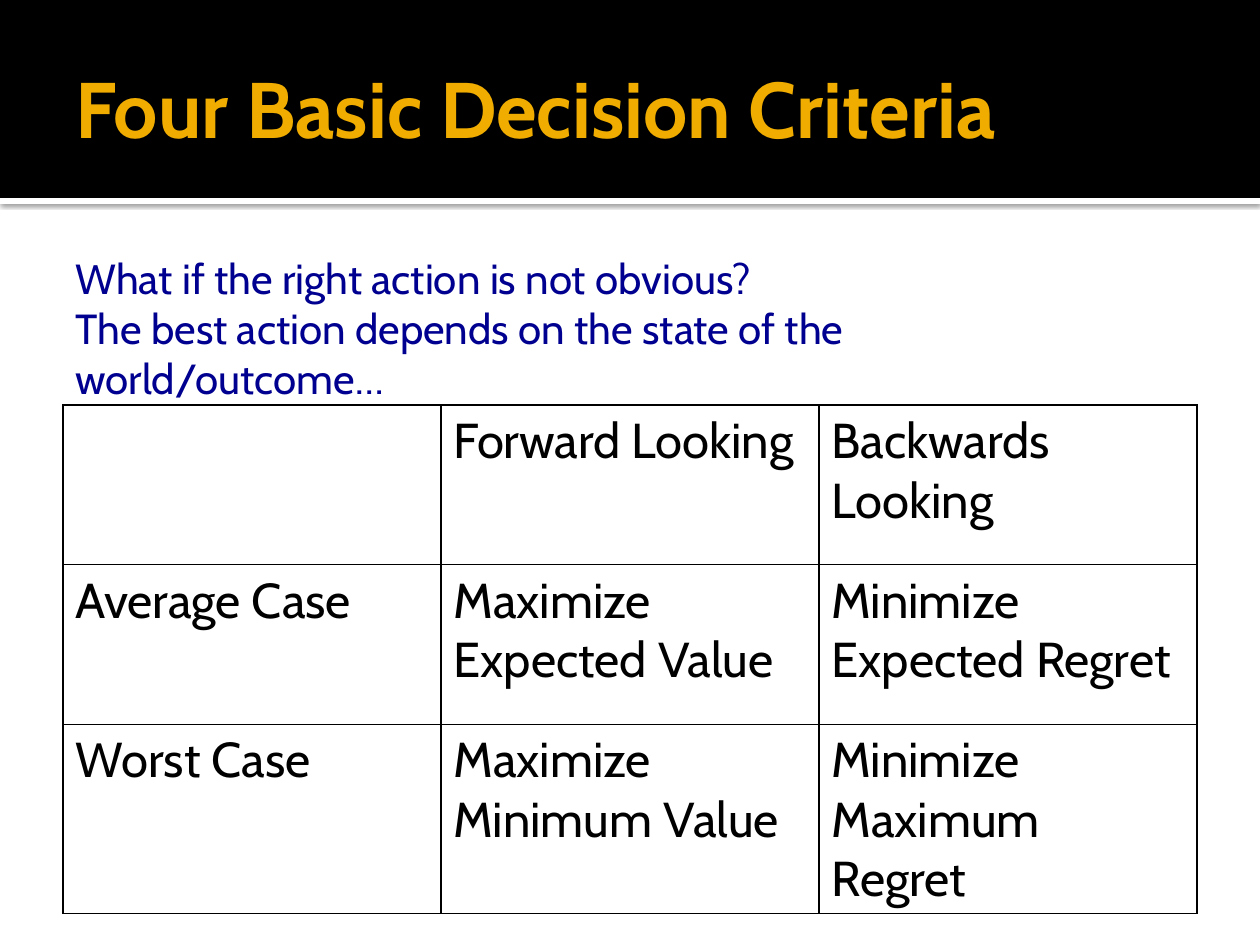
from lxml import etree
from pptx import Presentation
from pptx.dml.color import RGBColor
from pptx.enum.shapes import MSO_SHAPE
from pptx.enum.text import MSO_ANCHOR
from pptx.oxml import parse_xml
from pptx.oxml.ns import nsdecls, qn
from pptx.util import Emu, Pt

RECTANGLE = MSO_SHAPE.RECTANGLE
MIDDLE = MSO_ANCHOR.MIDDLE

BLACK = RGBColor(0x00, 0x00, 0x00)
WHITE = RGBColor(0xFF, 0xFF, 0xFF)
GOLD = RGBColor(0xF0, 0xAD, 0x00)
NAVY = RGBColor(0x00, 0x00, 0x90)
FONT = "Cabin"

SLIDE_W, SLIDE_H = 1260, 945
PX_PER_INCH = 126

QUESTION = [
    "What if the right action is not obvious?",
    "The best action depends on the state of the world/outcome…",
]
CRITERIA = [
    ["", "Forward Looking", "Backwards Looking"],
    ["Average Case", "Maximize Expected Value", "Minimize Expected Regret"],
    ["Worst Case", "Maximize Minimum Value", "Minimize Maximum Regret"],
]


def px(length):
    return Emu(round(length * 914400 / PX_PER_INCH))


def style_font(font, size, color, bold=False):
    font.name = FONT
    font.size = Pt(size)
    font.bold = bold
    font.color.rgb = color


def add_band(slide, left, top, width, height, color):
    band = slide.shapes.add_shape(RECTANGLE, px(left), px(top), px(width), px(height))
    band.shadow.inherit = False
    band.fill.solid()
    band.fill.fore_color.rgb = color
    band.line.fill.background()
    return band


def add_text(slide, left, top, width, height, lines, size, color, bold=False):
    box = slide.shapes.add_textbox(px(left), px(top), px(width), px(height))
    frame = box.text_frame
    frame.word_wrap = True
    frame.text = "\n".join(lines)
    for paragraph in frame.paragraphs:
        for run in paragraph.runs:
            style_font(run.font, size, color, bold)
    return frame


def add_header(slide, left, top, width, height):
    # White strip with a soft shadow, under the black band
    strip = add_band(slide, left, top + height, width, 6, WHITE)
    effects = strip._element.spPr.find(qn("a:effectLst"))
    effects.append(parse_xml(
        f'<a:outerShdw {nsdecls("a")} blurRad="31750" dist="10160" dir="5400000" '
        'algn="tl" rotWithShape="0"><a:srgbClr val="000000">'
        '<a:alpha val="60000"/></a:srgbClr></a:outerShdw>'))
    add_band(slide, left, top, width, height, BLACK)

    # Title
    title = add_text(slide, left + 63, top + 21, width - 126, 173,
                     ["Four Basic Decision Criteria"], 45, GOLD, bold=True)
    title.vertical_anchor = MIDDLE
    title.margin_right = Pt(3.6)


def add_borders(cell):
    properties = cell._tc.get_or_add_tcPr()
    for position, side in enumerate(("lnL", "lnR", "lnT", "lnB")):
        border = etree.Element(qn(f"a:{side}"), w=str(Pt(1)))
        fill = etree.SubElement(border, qn("a:solidFill"))
        etree.SubElement(fill, qn("a:srgbClr"), val=str(BLACK))
        properties.insert(position, border)


def add_criteria_table(slide, left, top, width, height):
    row_count, column_count = len(CRITERIA), len(CRITERIA[0])
    table = slide.shapes.add_table(row_count, column_count, px(left), px(top),
                                   px(width), px(height)).table
    table.first_row = False
    table.horz_banding = False
    for row, texts in enumerate(CRITERIA):
        for column, text in enumerate(texts):
            cell = table.cell(row, column)
            cell.text = text
            style_font(cell.text_frame.paragraphs[0].font, 28, BLACK)
            for run in cell.text_frame.paragraphs[0].runs:
                style_font(run.font, 28, BLACK)
            cell.fill.background()
            add_borders(cell)


def main():
    presentation = Presentation()
    presentation.slide_width = px(SLIDE_W)
    presentation.slide_height = px(SLIDE_H)
    slide = presentation.slides.add_slide(presentation.slide_layouts[6])

    add_header(slide, 0, 0, SLIDE_W, 198)
    add_criteria_table(slide, 63, 405, 1134, 479)
    add_text(slide, 63, 246, 1091, 115, QUESTION, 24, NAVY)

    presentation.save("out.pptx")


if __name__ == "__main__":
    main()
